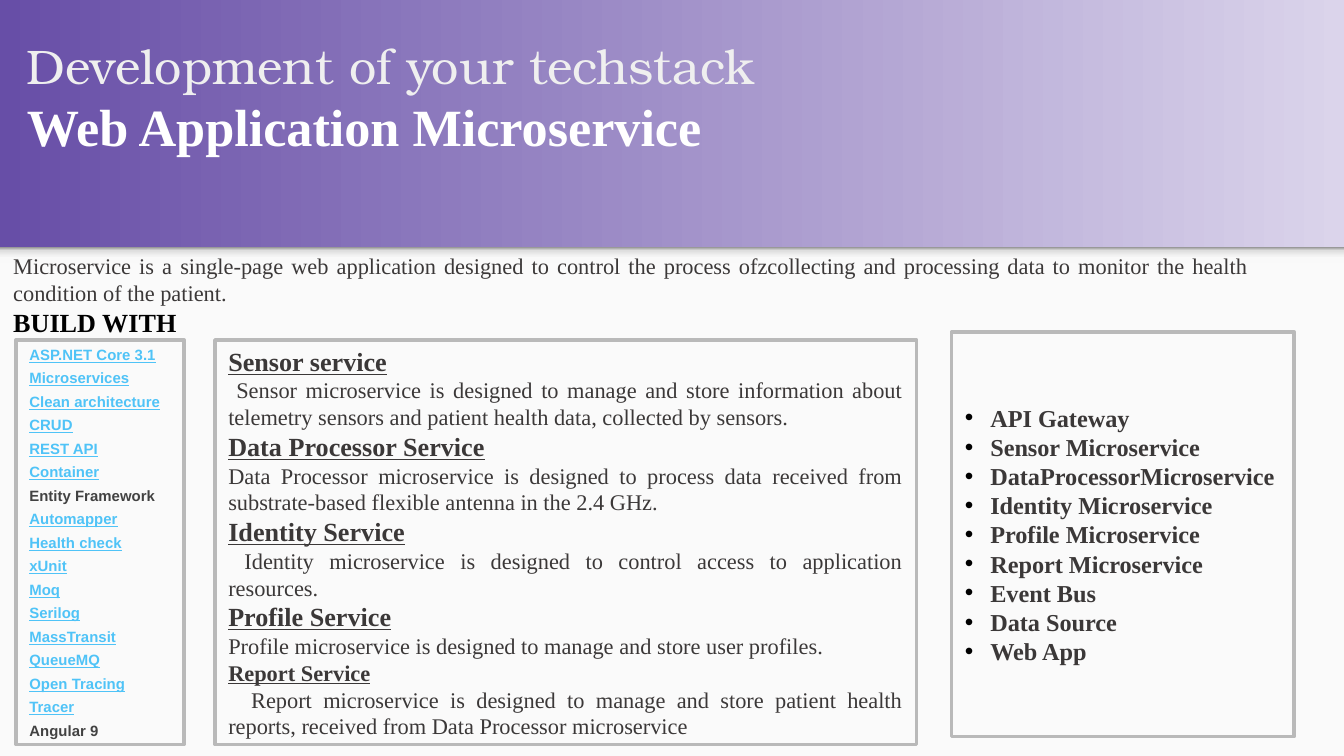
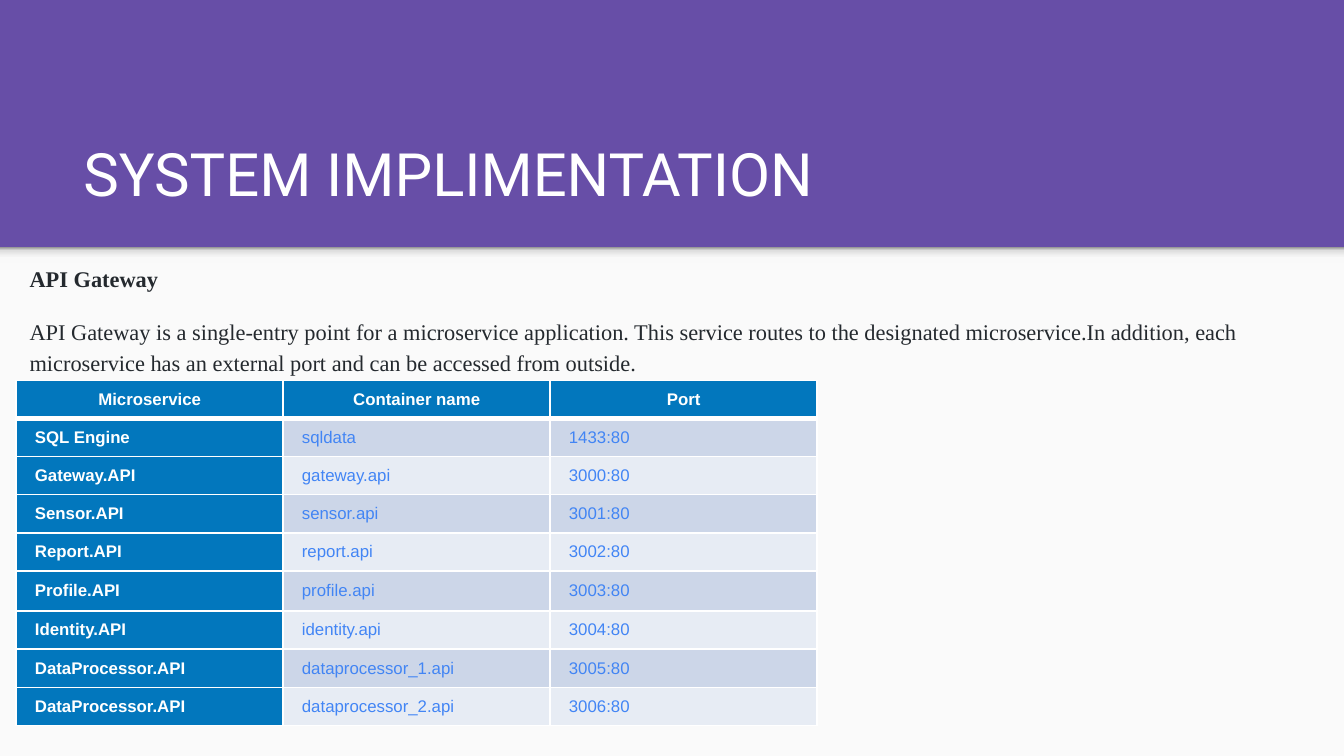
from dataclasses import dataclass
from typing import Any, Optional

from lxml import etree
from pptx import Presentation
from pptx.dml.color import RGBColor
from pptx.enum.shapes import MSO_SHAPE
from pptx.enum.text import MSO_ANCHOR, MSO_AUTO_SIZE, PP_ALIGN
from pptx.oxml.ns import qn
from pptx.util import Inches, Pt

RECTANGLE = MSO_SHAPE.RECTANGLE
TOP, MIDDLE, BOTTOM = MSO_ANCHOR.TOP, MSO_ANCHOR.MIDDLE, MSO_ANCHOR.BOTTOM
LEFT, CENTER, JUSTIFY = PP_ALIGN.LEFT, PP_ALIGN.CENTER, PP_ALIGN.JUSTIFY
NO_AUTOFIT = MSO_AUTO_SIZE.NONE
TITLE_AND_CONTENT, TITLE_ONLY = 1, 5
SLIDE_WIDTH = 10
SLIDE_HEIGHT = SLIDE_WIDTH * 9 / 16
BAND_HEIGHT = 1.84


@dataclass(frozen=True)
class Theme:
    purple: str = "674EA7"
    lilac: str = "DBD4EB"
    paper: str = "FAFAFA"
    frame: str = "B9B9B9"
    white: str = "FFFFFF"
    pale: str = "EFEFEF"
    black: str = "000000"
    ink: str = "3B3838"
    slate: str = "24292E"
    plain_item: str = "424242"
    link: str = "4FC3F7"
    table_blue: str = "0277BD"
    table_text: str = "4285F4"
    bands: tuple[str, str] = ("CCD6E8", "E7ECF4")
    shadow: tuple[str, str, str] = ("F9F9F9", "DEDEDE", "999999")
    serif: str = "Times New Roman"
    sans: str = "Arial"
    display: str = "Roboto"
    bookish: str = "TeX Gyre Bonum"
    title_size: int = 32
    subtitle_size: int = 28
    lead_size: int = 26
    heading_size: int = 14
    list_size: int = 13
    text_size: int = 12
    cell_size: int = 9
    stack_size: int = 8


THEME = Theme()


@dataclass(frozen=True)
class TextStyle:
    size: int
    name: str
    color: str
    bold: bool = False
    underline: bool = False


@dataclass(frozen=True)
class Line:
    text: str
    style: TextStyle
    align: PP_ALIGN = JUSTIFY
    before: float = 0
    after: float = 0
    spacing: float = 1.0
    margin: float = 0
    indent: float = 0
    bullet: Optional[str] = None


@dataclass(frozen=True)
class Box:
    left: float
    top: float
    width: float
    height: float

    def lengths(self) -> tuple[int, ...]:
        return tuple(Inches(value) for value in (self.left, self.top, self.width, self.height))


LEAD = TextStyle(THEME.lead_size, THEME.bookish, THEME.pale)
SUBTITLE = TextStyle(THEME.subtitle_size, THEME.serif, THEME.white, bold=True)
TITLE = TextStyle(THEME.title_size, THEME.display, THEME.white)
TEXT = TextStyle(THEME.text_size, THEME.serif, THEME.ink)
BUILD_HEADING = TextStyle(THEME.heading_size, THEME.serif, THEME.black, bold=True)
SERVICE_HEADING = TextStyle(THEME.heading_size, THEME.serif, THEME.ink, True, True)
SMALL_HEADING = TextStyle(THEME.text_size, THEME.serif, THEME.ink, True, True)
SERVICE_ITEM = TextStyle(THEME.list_size, THEME.serif, THEME.ink, bold=True)
STACK_LINK = TextStyle(THEME.stack_size, THEME.sans, THEME.link, True, True)
STACK_PLAIN = TextStyle(THEME.stack_size, THEME.sans, THEME.plain_item, bold=True)
GATEWAY_HEADING = TextStyle(THEME.text_size, THEME.serif, THEME.slate, bold=True)
GATEWAY_TEXT = TextStyle(THEME.text_size, THEME.serif, THEME.slate)
CELL_HEADING = TextStyle(THEME.cell_size, THEME.sans, THEME.white, bold=True)
CELL_TEXT = TextStyle(THEME.cell_size, THEME.sans, THEME.table_text)

TECH_STACK = (
    "ASP.NET Core 3.1", "Microservices", "Clean architecture", "CRUD", "REST API",
    "Container", "Entity Framework", "Automapper", "Health check", "xUnit", "Moq",
    "Serilog", "MassTransit", "QueueMQ", "Open Tracing", "Tracer", "Angular 9",
)
UNLINKED = {"Entity Framework", "Angular 9"}
# heading, heading style, description, first-line indent
SERVICES = (
    ("Sensor service", SERVICE_HEADING,
     "Sensor microservice is designed to manage and store information about telemetry "
     "sensors and patient health data, collected by sensors.", 0.06),
    ("Data Processor Service", SERVICE_HEADING,
     "Data Processor microservice is designed to process data received from "
     "substrate-based flexible antenna in the 2.4 GHz.", 0),
    ("Identity Service", SERVICE_HEADING,
     "Identity microservice is designed to control access to application resources.", 0.12),
    ("Profile Service", SERVICE_HEADING,
     "Profile microservice is designed to manage and store user profiles.", 0),
    ("Report Service", SMALL_HEADING,
     "Report microservice is designed to manage and store patient health reports, "
     "received from Data Processor microservice", 0.17),
)
COMPONENTS = (
    "API Gateway", "Sensor Microservice", "DataProcessorMicroservice",
    "Identity Microservice", "Profile Microservice", "Report Microservice",
    "Event Bus", "Data Source", "Web App",
)
PORTS = (
    ("Microservice", "Container name", "Port"),
    ("SQL Engine", "sqldata", "1433:80"),
    ("Gateway.API", "gateway.api", "3000:80"),
    ("Sensor.API", "sensor.api", "3001:80"),
    ("Report.API", "report.api", "3002:80"),
    ("Profile.API", "profile.api", "3003:80"),
    ("Identity.API", "identity.api", "3004:80"),
    ("DataProcessor.API", "dataprocessor_1.api", "3005:80"),
    ("DataProcessor.API", "dataprocessor_2.api", "3006:80"),
)
TALL_ROW, TALL_HEIGHT = 5, 0.3


def set_all(target: Any, values: dict[str, Any]) -> None:
    for name, value in values.items():
        setattr(target, name, value)


def add_run(paragraph: Any, text: str, style: TextStyle) -> None:
    run = paragraph.add_run()
    run.text = text
    set_all(run.font, {"size": Pt(style.size), "name": style.name,
                       "bold": style.bold, "underline": style.underline})
    run.font.color.rgb = RGBColor.from_string(style.color)


def set_bullet(properties: Any, bullet: Optional[str]) -> None:
    if bullet is None:
        etree.SubElement(properties, qn("a:buNone"))
        return
    color = etree.SubElement(properties, qn("a:buClr"))
    etree.SubElement(color, qn("a:srgbClr"), val=THEME.black)
    etree.SubElement(properties, qn("a:buFont"), typeface=THEME.sans)
    etree.SubElement(properties, qn("a:buChar"), char=bullet)


def write_lines(frame: Any, lines: list[Line]) -> None:
    for index, line in enumerate(lines):
        paragraph = frame.add_paragraph() if index else frame.paragraphs[0]
        set_all(paragraph, {"alignment": line.align, "line_spacing": line.spacing,
                            "space_before": Pt(line.before), "space_after": Pt(line.after)})
        properties = paragraph._p.get_or_add_pPr()
        properties.set("marL", str(Inches(line.margin)))
        properties.set("indent", str(Inches(line.indent)))
        set_bullet(properties, line.bullet)
        add_run(paragraph, line.text, line.style)


def set_frame(frame: Any, anchor: MSO_ANCHOR, side: float = 0.1,
              top: float = 0.1, bottom: float = 0.1) -> None:
    set_all(frame, {"word_wrap": True, "auto_size": NO_AUTOFIT, "vertical_anchor": anchor,
                    "margin_left": Inches(side), "margin_right": Inches(side),
                    "margin_top": Inches(top), "margin_bottom": Inches(bottom)})


def place(shape: Any, box: Box) -> None:
    set_all(shape, dict(zip(("left", "top", "width", "height"), box.lengths())))


def set_gradient(fill: Any, element: Any, stops: list[tuple[int, str]], angle: int) -> None:
    """Fill with stops given in percent; element is the XML that holds the fill."""
    fill.gradient()
    fill.gradient_angle = angle
    stop_list = element.find(".//" + qn("a:gsLst"))
    for old_stop in list(stop_list):
        stop_list.remove(old_stop)
    for percent, color in stops:
        stop = etree.SubElement(stop_list, qn("a:gs"), pos=str(percent * 1000))
        etree.SubElement(stop, qn("a:srgbClr"), val=color)


def add_panel(slide: Any, box: Box, framed: bool = True) -> Any:
    shape = slide.shapes.add_shape(RECTANGLE, *box.lengths())
    shape.shadow.inherit = False
    shape.fill.solid()
    shape.fill.fore_color.rgb = RGBColor.from_string(THEME.paper)
    if framed:
        shape.line.color.rgb = RGBColor.from_string(THEME.frame)
        shape.line.width = Pt(2)
    else:
        shape.line.fill.background()
    return shape


def add_text_panel(slide: Any, box: Box, lines: list[Line]) -> None:
    frame = add_panel(slide, box).text_frame
    set_frame(frame, MIDDLE, top=0.05, bottom=0.05)
    write_lines(frame, lines)


def build_master(presentation: Any, slide: Any) -> None:
    """Draw the paper and its shadow, then move them to the master behind everything."""
    paper = add_panel(slide, Box(0, BAND_HEIGHT, SLIDE_WIDTH, SLIDE_HEIGHT - BAND_HEIGHT), False)
    shadow = add_panel(slide, Box(0, BAND_HEIGHT, SLIDE_WIDTH, 0.12), False)
    light, medium, dark = THEME.shadow
    set_gradient(shadow.fill, shadow.element,
                 [(0, light), (36, light), (80, medium), (100, dark)], 90)
    tree = presentation.slide_master.element.cSld.spTree
    for position, shape in enumerate((paper, shadow), start=2):
        tree.insert(position, shape.element)


def add_title(slide: Any, box: Box, parts: list[tuple[str, TextStyle]], bottom: float) -> None:
    title = slide.shapes.title
    place(title, box)
    set_frame(title.text_frame, BOTTOM, bottom=bottom)
    paragraph = title.text_frame.paragraphs[0]
    paragraph.alignment = LEFT
    for index, (text, style) in enumerate(parts):
        if index:
            paragraph.add_line_break()
        add_run(paragraph, text, style)


def build_stack_slide(slide: Any) -> None:
    set_gradient(slide.background.fill, slide.element,
                 [(0, THEME.lilac), (100, THEME.purple)], 180)
    add_title(slide, Box(0.1, 0.7, 8.91, 1),
              [("Development of your techstack", LEAD),
               ("Web Application Microservice", SUBTITLE)], bottom=0.53)
    intro = slide.shapes.add_textbox(*Box(0, 1.58, 9.4, 2.46).lengths())
    set_frame(intro.text_frame, TOP, top=0.3)
    write_lines(intro.text_frame, [
        Line("Microservice is a single-page web application designed to control the process "
             "ofzcollecting and processing data to monitor the health condition of the patient.",
             TEXT),
        Line("BUILD WITH", BUILD_HEADING)])
    service_lines = []
    for heading, style, description, indent in SERVICES:
        service_lines += [Line(heading, style), Line(description, TEXT, indent=indent)]
    add_text_panel(slide, Box(1.6, 2.53, 5.22, 3.01), service_lines)
    add_text_panel(slide, Box(0.12, 2.53, 1.25, 3.01), [
        Line(name, STACK_PLAIN if name in UNLINKED else STACK_LINK, LEFT,
             before=3 if index else 0)
        for index, name in enumerate(TECH_STACK)])
    add_text_panel(slide, Box(7.08, 2.47, 2.55, 3.01), [
        Line(name, SERVICE_ITEM, margin=0.19, indent=-0.19, bullet="•")
        for name in COMPONENTS])


def set_borders(cell: Any, widths: dict[str, int]) -> None:
    properties = cell._tc.get_or_add_tcPr()
    for side, width in widths.items():
        border = etree.SubElement(properties, qn(f"a:ln{side}"), w=str(Pt(width)))
        fill = etree.SubElement(border, qn("a:solidFill"))
        etree.SubElement(fill, qn("a:srgbClr"), val=THEME.white)


def add_port_table(slide: Any, box: Box) -> None:
    table = slide.shapes.add_table(len(PORTS), len(PORTS[0]), *box.lengths()).table
    table.first_col = True
    row_height = (box.height - TALL_HEIGHT) / (len(PORTS) - 1)
    for row, values in enumerate(PORTS):
        table.rows[row].height = Inches(TALL_HEIGHT if row == TALL_ROW else row_height)
        for column, value in enumerate(values):
            cell = table.cell(row, column)
            heading = row == 0 or column == 0
            set_borders(cell, {"L": 1, "R": 1, "T": 3 if row == 1 else 1,
                               "B": 3 if row == 0 else 1})
            cell.fill.solid()
            cell.fill.fore_color.rgb = RGBColor.from_string(
                THEME.table_blue if heading else THEME.bands[(row - 1) % 2])
            set_all(cell, {"vertical_anchor": MIDDLE,
                           "margin_left": Inches(0.14), "margin_right": Inches(0.14),
                           "margin_top": Inches(0.06), "margin_bottom": Inches(0.06)})
            write_lines(cell.text_frame, [Line(value, CELL_HEADING if heading else CELL_TEXT,
                                               LEFT if row else CENTER, after=12)])


def build_gateway_slide(slide: Any) -> None:
    slide.background.fill.solid()
    slide.background.fill.fore_color.rgb = RGBColor.from_string(THEME.purple)
    add_title(slide, Box(0.52, 0.81, 8.99, 0.84), [("SYSTEM IMPLIMENTATION", TITLE)], bottom=0.1)
    body = slide.placeholders[1]
    place(body, Box(0, BAND_HEIGHT, 9.51, 3.78))
    set_frame(body.text_frame, TOP)
    write_lines(body.text_frame, [
        Line(text, style, LEFT, after=12, spacing=1.15, margin=0.12)
        for text, style in (
            ("API Gateway", GATEWAY_HEADING),
            ("API Gateway is a single-entry point for a microservice application. This service "
             "routes to the designated microservice.In addition, each microservice has an "
             "external port and can be accessed from outside.", GATEWAY_TEXT))])
    add_port_table(slide, Box(0.12, 2.83, 5.96, 2.57))


def main() -> None:
    presentation = Presentation()
    set_all(presentation, {"slide_width": Inches(SLIDE_WIDTH),
                           "slide_height": Inches(SLIDE_HEIGHT)})
    layouts = presentation.slide_layouts
    stack_slide = presentation.slides.add_slide(layouts[TITLE_ONLY])
    build_master(presentation, stack_slide)
    build_stack_slide(stack_slide)
    build_gateway_slide(presentation.slides.add_slide(layouts[TITLE_AND_CONTENT]))
    presentation.save("out.pptx")


if __name__ == "__main__":
    main()
